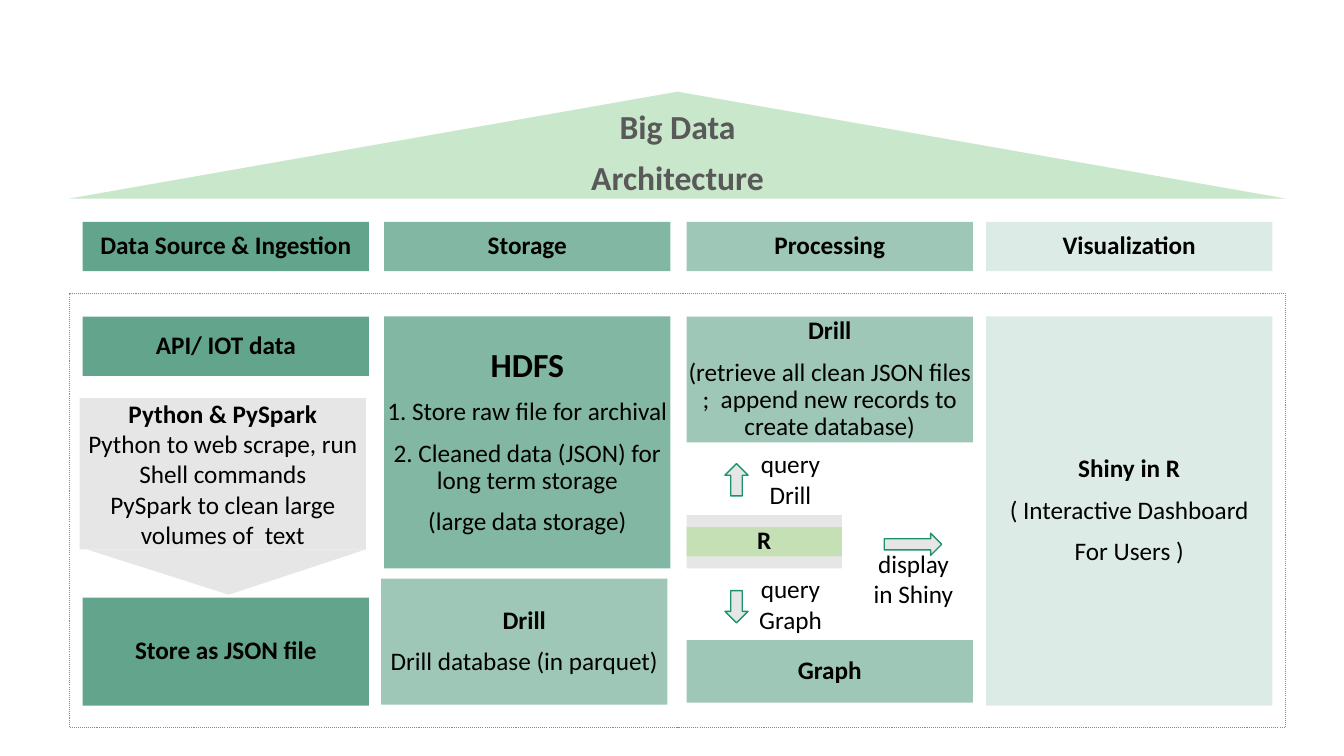
import pptx
import pptx.util
import pptx.dml.color
import pptx.enum.dml
import pptx.enum.shapes
import pptx.enum.text
import pptx.oxml.ns
from lxml import etree

Inches, Pt = pptx.util.Inches, pptx.util.Pt
SHAPE = pptx.enum.shapes.MSO_SHAPE
ANCHOR = pptx.enum.text.MSO_ANCHOR
GREEN, GREY = "197A56", "E7E6E6"


def paint(s, fill=None, alpha=100, line=None, weight=1):
    """Set fill, opacity in percent and outline; None means no fill or no outline."""
    s.shadow.inherit = False
    if fill:
        s.fill.solid()
        s.fill.fore_color.rgb = pptx.dml.color.RGBColor.from_string(fill)
        if alpha < 100:
            clr = s.fill._xPr.find(".//" + pptx.oxml.ns.qn("a:srgbClr"))
            etree.SubElement(clr, pptx.oxml.ns.qn("a:alpha"), val=str(alpha * 1000))
    else:
        s.fill.background()
    if line:
        s.line.color.rgb = pptx.dml.color.RGBColor.from_string(line)
        s.line.width = Pt(weight)
    else:
        s.line.fill.background()


def write(s, lines, bold=1, size=18, head_size=None, color="000000",
          spacing=0.9, before=10, anchor=ANCHOR.MIDDLE, inset=0):
    """Write centred paragraphs, the first `bold` of them in bold."""
    tf = s.text_frame
    tf.text = "\n".join(lines)
    tf.word_wrap = True
    tf.vertical_anchor = anchor
    tf.margin_left = tf.margin_right = Inches(inset)
    tf.margin_top = tf.margin_bottom = 0
    for i, p in enumerate(tf.paragraphs):
        p.alignment = pptx.enum.text.PP_ALIGN.CENTER
        p.line_spacing = spacing
        p.space_before = Pt(before if i else 0)
        for r in p.runs:
            r.font.name = "Calibri"
            r.font.size = Pt(head_size if head_size and i == 0 else size)
            r.font.bold = i < bold
            r.font.color.rgb = pptx.dml.color.RGBColor.from_string(color)


prs = pptx.Presentation()
prs.slide_width, prs.slide_height = Inches(13.33), Inches(7.5)
slide = prs.slides.add_slide(prs.slide_layouts[6])
shapes = slide.shapes

# Frame and roof
frame = shapes.add_shape(SHAPE.RECTANGLE, Inches(0.69), Inches(2.91), Inches(12.06), Inches(4.31))
paint(frame, line="3EAD92", weight=0.75)
frame.line.dash_style = pptx.enum.dml.MSO_LINE.ROUND_DOT
roof = shapes.add_shape(SHAPE.ISOSCELES_TRIANGLE, Inches(0.69), Inches(0.91), Inches(12.06), Inches(1.06))
paint(roof, "C9E7CA")
title = shapes.add_textbox(Inches(5.69), Inches(1.1), Inches(2.06), Inches(0.9))
write(title, ["Big Data", "Architecture"], bold=2, size=24, color="595959", anchor=ANCHOR.TOP)

# Column headers
columns = [0.82, 3.81, 6.81, 9.78]
column_width = 2.84
tints = [68, 54, 42, 15]
headers = ["Data Source & Ingestion", "Storage", "Processing", "Visualization"]
blocks = [(x, 2.2, 0.49, tint, [header], None) for x, tint, header in zip(columns, tints, headers)]

# Column contents: left, top, height, opacity, lines, size of the first line
source, storage, processing, visualization = columns
blocks += [
    (source, 3.14, 0.59, 68, ["API/ IOT data"], None),
    (source, 5.93, 1.07, 68, ["Store as JSON file"], None),
    (storage, 3.14, 2.5, 54, ["HDFS", "1. Store raw file for archival",
                              "2. Cleaned data (JSON) for long term storage",
                              "(large data storage)"], 24),
    (storage - 0.03, 5.74, 1.25, 42, ["Drill", "Drill database (in parquet)"], None),
    (processing, 3.14, 1.25, 42, ["Drill", "(retrieve all clean JSON files ;  append new "
                                  "records to create database)"], None),
    (processing, 6.35, 0.62, 42, ["Graph"], None),
    (visualization, 3.14, 3.86, 15, ["Shiny in R", "( Interactive Dashboard", "For Users )"], None),
]
for x, y, height, tint, lines, head_size in blocks:
    s = shapes.add_shape(SHAPE.RECTANGLE, Inches(x), Inches(y), Inches(column_width), Inches(height))
    paint(s, GREEN, tint)
    write(s, lines, head_size=head_size)

# Cleaning step, pointing down to the stored file
fb = shapes.build_freeform(Inches(0.86), Inches(5.45))
fb.add_line_segments([(Inches(3.63), Inches(5.45)), (Inches(2.27), Inches(5.9))])
paint(fb.convert_to_shape(), GREY)
cleaning = shapes.add_shape(SHAPE.RECTANGLE, Inches(0.79), Inches(3.95), Inches(column_width), Inches(1.5))
paint(cleaning, GREY)
write(cleaning, ["Python & PySpark", "Python to web scrape, run Shell commands",
                 "PySpark to clean large volumes of  text"], spacing=1, before=0, inset=0.05)

# R and its queries
r_band = shapes.add_shape(SHAPE.RECTANGLE, Inches(processing), Inches(5.11), Inches(1.54), Inches(0.53))
paint(r_band, GREY)
r_box = shapes.add_shape(SHAPE.RECTANGLE, Inches(processing), Inches(5.23), Inches(1.54), Inches(0.29))
paint(r_box, "C5E0B4")
write(r_box, ["R"])

arrows = [
    (SHAPE.UP_ARROW, 7.19, 4.6, 0.23, 0.32),
    (SHAPE.DOWN_ARROW, 7.19, 5.86, 0.23, 0.32),
    (SHAPE.RIGHT_ARROW, 8.77, 5.29, 0.57, 0.22),
]
for kind, x, y, width, height in arrows:
    s = shapes.add_shape(kind, Inches(x), Inches(y), Inches(width), Inches(height))
    paint(s, GREY, line="1C9369")

for label, x, y in [("query Drill", 7.33, 4.41), ("query Graph", 7.33, 5.65), ("display in Shiny", 8.55, 5.4)]:
    s = shapes.add_textbox(Inches(x), Inches(y), Inches(1.02), Inches(0.68))
    write(s, [label], bold=0, spacing=1, inset=0.05)

prs.save("out.pptx")
